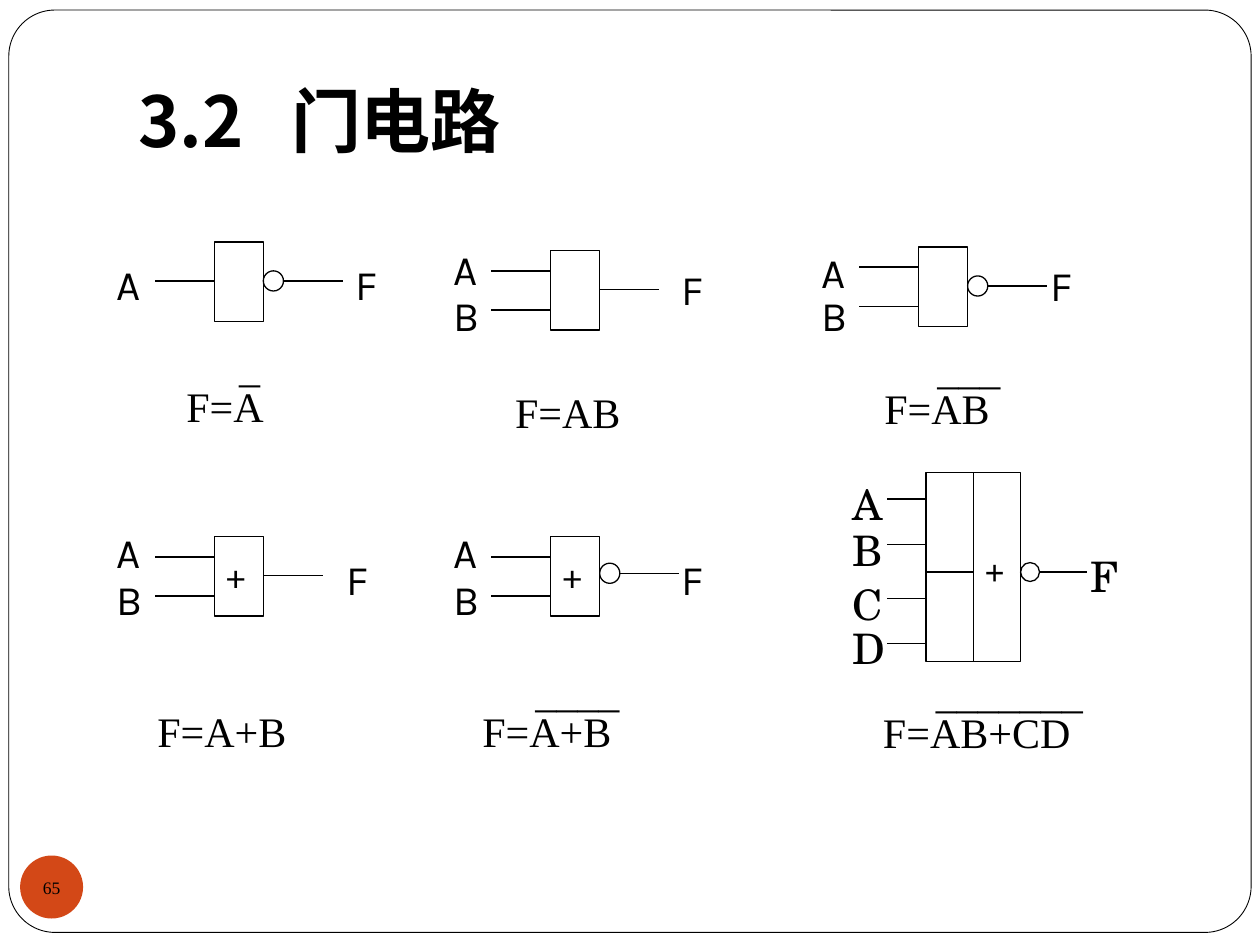
from lxml import etree
from pptx import Presentation, util as u
from pptx.dml.color import RGBColor
from pptx.enum import shapes as s, text as t
from pptx.oxml.ns import qn

# Content
TITLE = "3.2\t门电路"
TITLE_TAB = 1.21
PAGE = "65"
BLACK, WHITE, ORANGE = "000000", "FFFFFF", "D34817"
SANS, SERIF, SCHOOL = "Karla", "Times New Roman", "TeX Gyre Schola"
CJK = "Noto Sans CJK JP"

# Shared measures; each gate's offsets count from the top left of its body
LABEL_H = 0.5
BAR_INDENT = 0.42
LINE_PITCH = 23
SMALL = dict(cells=1, cell_w=0.39, height=0.63, wires=(0.16, 0.47), out=0.31,
             bubble=0, wire_in=0.47, wire_out=0.47, label_dx=-0.87,
             label_w=0.39, font=SANS, plus=None, plus_size=20)
NOT_BUBBLE = 0.16

# inputs: (letter, dy); output: (dx, dy); formula: (text, overbar, dx, dy, width)
GATES = [
    dict(SMALL, at=(1.7, 1.92), inputs=[("A", 0.08)], wires=(0.31,),
         bubble=NOT_BUBBLE, output=(1.02, 0.08),
         formula=("F=A", "_", -0.32, 0.81, 1.02)),
    dict(SMALL, at=(4.37, 1.99), inputs=[("A", -0.11), ("B", 0.26)],
         output=(0.94, 0.05), formula=("F=AB", "", -0.38, 1.03, 1.14)),
    dict(SMALL, at=(7.29, 1.96), inputs=[("A", -0.05), ("B", 0.29)],
         bubble=NOT_BUBBLE, output=(0.95, 0.05),
         formula=("F=AB", "___", -0.37, 0.79, 1.32)),
    dict(SMALL, at=(1.7, 4.26), inputs=[("A", -0.13), ("B", 0.24)],
         plus=(0, 0.08), output=(0.95, 0.08),
         formula=("F=A+B", "", -0.55, 1.29, 1.25)),
    dict(SMALL, at=(4.37, 4.26), inputs=[("A", -0.13), ("B", 0.24)],
         plus=(0, 0.08), bubble=NOT_BUBBLE, out=0.29, output=(0.94, 0.08),
         formula=("F=A+B", "____", -0.64, 1.05, 1.32)),
    dict(SMALL, at=(7.35, 3.75), cells=2, cell_w=0.375, height=1.5,
         inputs=[("A", 0), ("B", 0.36), ("C", 0.79), ("D", 1.14)],
         wires=(0.21, 0.57, 1.0, 1.36), out=0.79, bubble=0.15,
         wire_in=0.31, wire_out=0.38, label_dx=-0.68, label_w=0.53,
         font=SCHOOL, plus=(0.37, 0.57), plus_size=18, output=(1.21, 0.57),
         formula=("F=AB+CD", "_______", -0.44, 1.57, 1.94)),
]


def color(value):
    return RGBColor.from_string(value)


def box_of(*lengths):
    return [u.Inches(length) for length in lengths]


def write(paragraph, words, font=SERIF, size=24, bold=False, pitch=None,
          indent=0, align=t.PP_ALIGN.LEFT):
    paragraph.alignment = align
    if pitch:
        paragraph.line_spacing = u.Pt(pitch)
    if indent:
        paragraph._p.get_or_add_pPr().set("marL", str(u.Inches(indent)))
    run = paragraph.add_run()
    run.text = words
    run.font.name, run.font.size, run.font.bold = font, u.Pt(size), bold
    run.font.color.rgb = color(BLACK)
    return run


def text_box(parent, x, y, w, h, lines, **style):
    frame = parent.add_textbox(*box_of(x, y, w, h)).text_frame
    frame.word_wrap = True
    for i, (words, indent) in enumerate(lines):
        paragraph = frame.add_paragraph() if i else frame.paragraphs[0]
        write(paragraph, words, indent=indent, **style)


def outline(parent, kind, x, y, w, h, fill=None, line=0.75):
    shape = parent.add_shape(kind, *box_of(x, y, w, h))
    shape.shadow.inherit = False
    if fill:
        shape.fill.solid()
        shape.fill.fore_color.rgb = color(fill)
    else:
        shape.fill.background()
    if line:
        shape.line.color.rgb = color(BLACK)
        shape.line.width = u.Pt(line)
    else:
        shape.line.fill.background()
    return shape


def wire(parent, x1, x2, y):
    line = parent.add_connector(s.MSO_CONNECTOR.STRAIGHT, *box_of(x1, y, x2, y))
    line.line.color.rgb = color(BLACK)
    line.line.width = u.Pt(0.75)
    etree.SubElement(line._element.spPr, qn("a:effectLst"))


def draw_gate(slide, gate):
    parts = slide.shapes.add_group_shape().shapes
    x, y = gate["at"]
    cell_w, bubble = gate["cell_w"], gate["bubble"]
    right, out_y = x + gate["cells"] * cell_w, y + gate["out"]

    # Body
    for i in range(gate["cells"]):
        outline(parts, s.MSO_SHAPE.RECTANGLE, x + i * cell_w, y, cell_w,
                gate["height"])
    if gate["cells"] > 1:
        wire(parts, x, x + cell_w, out_y)
    if gate["plus"]:
        dx, dy = gate["plus"]
        text_box(parts, x + dx, y + dy, 0.39, 0.43, [("+", 0)],
                 font=gate["font"], size=gate["plus_size"])

    # Inputs and output
    for dy in gate["wires"]:
        wire(parts, x, x - gate["wire_in"], y + dy)
    if bubble:
        outline(parts, s.MSO_SHAPE.OVAL, right, out_y - bubble / 2, bubble, bubble)
    wire(parts, right + bubble, right + bubble + gate["wire_out"], out_y)
    labels = [(name, gate["label_dx"], dy) for name, dy in gate["inputs"]]
    for name, dx, dy in labels + [("F", *gate["output"])]:
        text_box(parts, x + dx, y + dy, gate["label_w"], LABEL_H, [(name, 0)],
                 font=gate["font"])

    # Formula, with its overbar on a line above
    words, bar, dx, dy, width = gate["formula"]
    if bar:
        text_box(parts, x + dx, y + dy, width, 0.75,
                 [(bar, BAR_INDENT), (words, 0)], pitch=LINE_PITCH)
    else:
        text_box(parts, x + dx, y + dy, width, LABEL_H, [(words, 0)])


def draw_title(slide):
    title = slide.shapes.title
    title.left, title.top, title.width, title.height = box_of(1, 0.3, 8.5, 1.08)
    frame = title.text_frame
    frame.vertical_anchor = t.MSO_ANCHOR.BOTTOM
    frame.margin_bottom = u.Inches(0.1)
    paragraph = frame.paragraphs[0]
    tabs = etree.SubElement(paragraph._p.get_or_add_pPr(), qn("a:tabLst"))
    etree.SubElement(tabs, qn("a:tab"), pos=str(u.Inches(TITLE_TAB)), algn="l")
    run = write(paragraph, TITLE, font=CJK, size=40, bold=True)
    etree.SubElement(run._r.get_or_add_rPr(), qn("a:ea"), typeface=CJK)


def main():
    prs = Presentation()
    prs.slide_width, prs.slide_height = box_of(10, 7.5)
    slide = prs.slides.add_slide(prs.slide_layouts[5])

    # Frame and page number
    frame = outline(slide.shapes, s.MSO_SHAPE.ROUNDED_RECTANGLE,
                    0.07, 0.08, 9.86, 7.32, fill=WHITE, line=0.5)
    frame.adjustments[0] = 0.05
    slide.shapes._spTree.insert(2, frame._element)
    badge = outline(slide.shapes, s.MSO_SHAPE.OVAL, 0.16, 6.79, 0.5, 0.5,
                    fill=ORANGE, line=None).text_frame
    badge.margin_left = badge.margin_right = 0
    badge.margin_top = badge.margin_bottom = 0
    badge.word_wrap = False
    badge.vertical_anchor = t.MSO_ANCHOR.MIDDLE
    write(badge.paragraphs[0], PAGE, size=10, align=t.PP_ALIGN.CENTER)

    draw_title(slide)
    for gate in GATES:
        draw_gate(slide, gate)
    prs.save("out.pptx")


if __name__ == "__main__":
    main()
